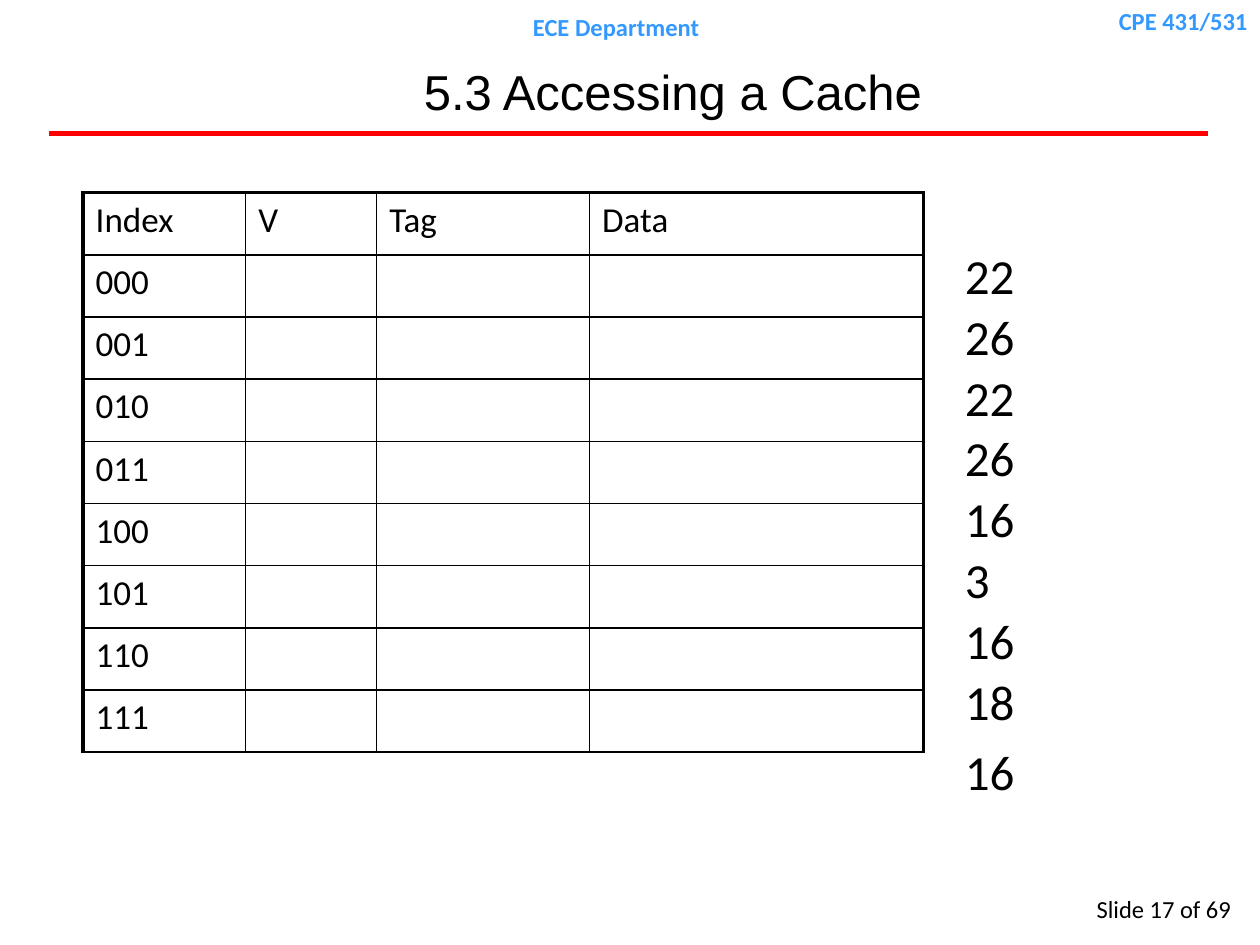
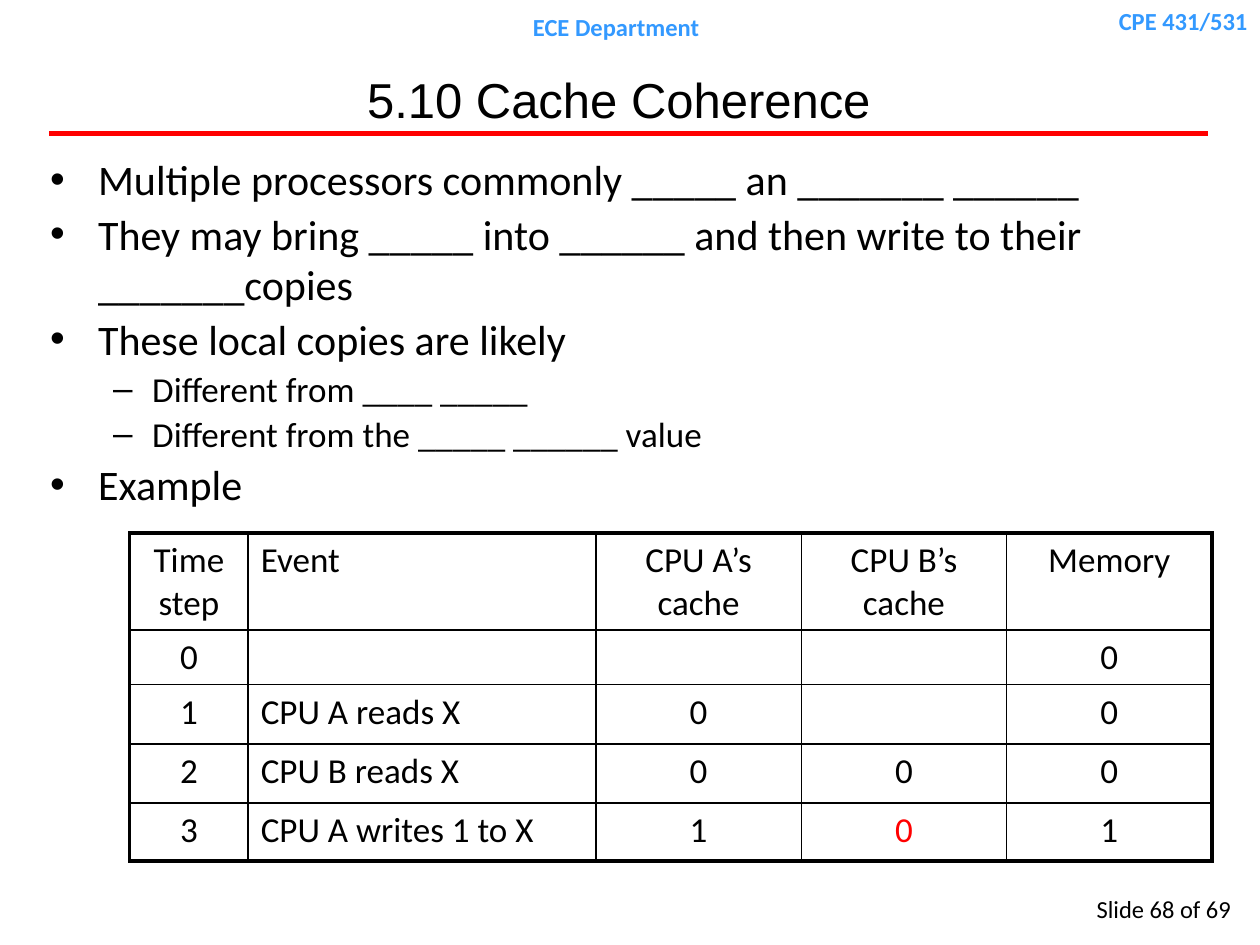
from lxml import etree
from pptx import Presentation
from pptx.dml.color import RGBColor
from pptx.enum.shapes import MSO_CONNECTOR
from pptx.enum.text import MSO_ANCHOR, PP_ALIGN
from pptx.oxml import parse_xml
from pptx.oxml.ns import nsdecls, qn
from pptx.util import Inches, Pt

BLACK = RGBColor(0x00, 0x00, 0x00)
RED = RGBColor(0xFF, 0x00, 0x00)
BLUE = RGBColor(0x33, 0x99, 0xFF)
LEFT, CENTER, RIGHT = PP_ALIGN.LEFT, PP_ALIGN.CENTER, PP_ALIGN.RIGHT


def add_text(tf, text, size=20, font="Calibri", color=BLACK, bold=False, align=LEFT,
             anchor=MSO_ANCHOR.TOP, before=0, spacing=None, indent=None, bullet=None):
    tf.word_wrap = True
    tf.vertical_anchor = anchor
    p = tf.paragraphs[0]
    if p.runs:
        p = tf.add_paragraph()
    p.alignment = align
    p.space_before = Pt(before)
    if spacing:
        p.line_spacing = spacing
    pPr = p._p.get_or_add_pPr()
    if indent:
        margin, hanging = indent
        pPr.set("marL", str(Inches(margin)))
        pPr.set("indent", str(-Inches(hanging)))
    if bullet:
        etree.SubElement(pPr, qn("a:buFont")).set("typeface", "Arial")
        etree.SubElement(pPr, qn("a:buChar")).set("char", bullet)
    r = p.add_run()
    r.text = text
    r.font.size = Pt(size)
    r.font.name = font
    r.font.bold = bold
    r.font.color.rgb = color


def add_grid(s, box, widths, heights, rows, aligns, bottom, red_cells=()):
    tbl = s.shapes.add_table(len(rows), len(widths), *map(Inches, box)).table
    for col, width in zip(tbl.columns, widths):
        col.width = Inches(width)
    last_row, last_col = len(rows) - 1, len(widths) - 1
    for i, row in enumerate(rows):
        tbl.rows[i].height = Inches(heights[i])
        for j, value in enumerate(row):
            cell = tbl.cell(i, j)
            cell.fill.background()
            if value:
                add_text(cell.text_frame, value, align=aligns[j],
                         color=RED if (i, j) in red_cells else BLACK)
            edges = {"lnL": 2.25 if j == 0 else 1,
                     "lnR": 2.25 if j == last_col else 1,
                     "lnT": 2.25 if i == 0 else 1,
                     "lnB": bottom if i == last_row else 1}
            tcPr = cell._tc.get_or_add_tcPr()
            for n, (tag, width) in enumerate(edges.items()):
                tcPr.insert(n, parse_xml(
                    f'<a:{tag} {nsdecls("a")} w="{Pt(width)}"><a:solidFill>'
                    f'<a:srgbClr val="{BLACK}"/></a:solidFill></a:{tag}>'))


prs = Presentation()
prs.slide_width = Inches(10)
prs.slide_height = Inches(7.5)

slides = []
for title, title_box, number in [
    ("5.3 Accessing a Cache", (1.09, 0.38, 8.5, 0.69), 17),
    ("5.10 Cache Coherence", (0, 0.44, 9.82, 0.69), 68),
]:
    s = prs.slides.add_slide(prs.slide_layouts[6])
    slides.append(s)
    rule = s.shapes.add_connector(MSO_CONNECTOR.STRAIGHT, Inches(0.39), Inches(1.06),
                                  Inches(9.59), Inches(1.06))
    rule.line.color.rgb = RED
    rule.line.width = Pt(3)
    etree.SubElement(rule._element.spPr, qn("a:effectLst"))
    header = dict(size=14, color=BLUE, bold=True)
    for text, box, fmt in [
        ("CPE 431/531", (7.72, 0, 2.28, 0.34), dict(header, align=RIGHT)),
        ("ECE Department", (3.44, 0.05, 2.9, 0.34), dict(header, align=CENTER)),
        (f"Slide {number} of 69", (8.41, 7.05, 1.46, 0.34), dict(size=14, align=RIGHT)),
        (title, title_box, dict(size=28, font="Arial", align=CENTER, anchor=MSO_ANCHOR.MIDDLE)),
    ]:
        sp = s.shapes.add_textbox(*map(Inches, box))
        add_text(sp.text_frame, text, **fmt)

cache_slide, coherence_slide = slides

cache_rows = [["Index", "V", "Tag", "Data"]]
cache_rows += [[f"{index:03b}", "", "", ""] for index in range(8)]
add_grid(cache_slide, (0.66, 1.53, 6.67, 4.44), [1.29, 1.04, 1.69, 2.65],
         [4.44 / 9] * 9, cache_rows, [LEFT] * 4, bottom=1)

addresses = ["22", "26", "22", "26", "16", "3", "16", "18", "16"]
tf = cache_slide.shapes.add_textbox(Inches(7.56), Inches(1.97), Inches(1.67), Inches(4.5)).text_frame
for n, address in enumerate(addresses, 1):
    add_text(tf, address, size=28, before=6.2, indent=(0.38, 0.38),
             spacing=0.85 if n < len(addresses) else 1.0)

points = [
    (0, "Multiple processors commonly _____ an _______ ______"),
    (0, "They may bring _____ into ______ and then write to their _______copies"),
    (0, "These local copies are likely"),
    (1, "Different from ____ _____"),
    (1, "Different from the _____ ______ value"),
    (0, "Example"),
]
levels = [dict(size=24, before=2.4, indent=(0.38, 0.38), bullet="•"),
          dict(size=20, before=2, indent=(0.81, 0.31), bullet="–")]
tf = coherence_slide.shapes.add_textbox(Inches(0.3), Inches(1.17), Inches(8.98), Inches(3.05)).text_frame
for level, text in points:
    add_text(tf, text, **levels[level])

event_rows = [
    ["Time step", "Event", "CPU A’s cache", "CPU B’s cache", "Memory"],
    ["0", "", "", "", "0"],
    ["1", "CPU A reads X", "0", "", "0"],
    ["2", "CPU B reads X", "0", "0", "0"],
    ["3", "CPU A writes 1 to X", "1", "0", "1"],
]
add_grid(coherence_slide, (1.03, 4.23, 8.58, 2.6), [0.94, 2.76, 1.63, 1.63, 1.63],
         [0.77, 0.41, 0.47, 0.47, 0.46], event_rows,
         [CENTER, LEFT, CENTER, CENTER, CENTER], bottom=2.25, red_cells={(4, 3)})

prs.save("out.pptx")
